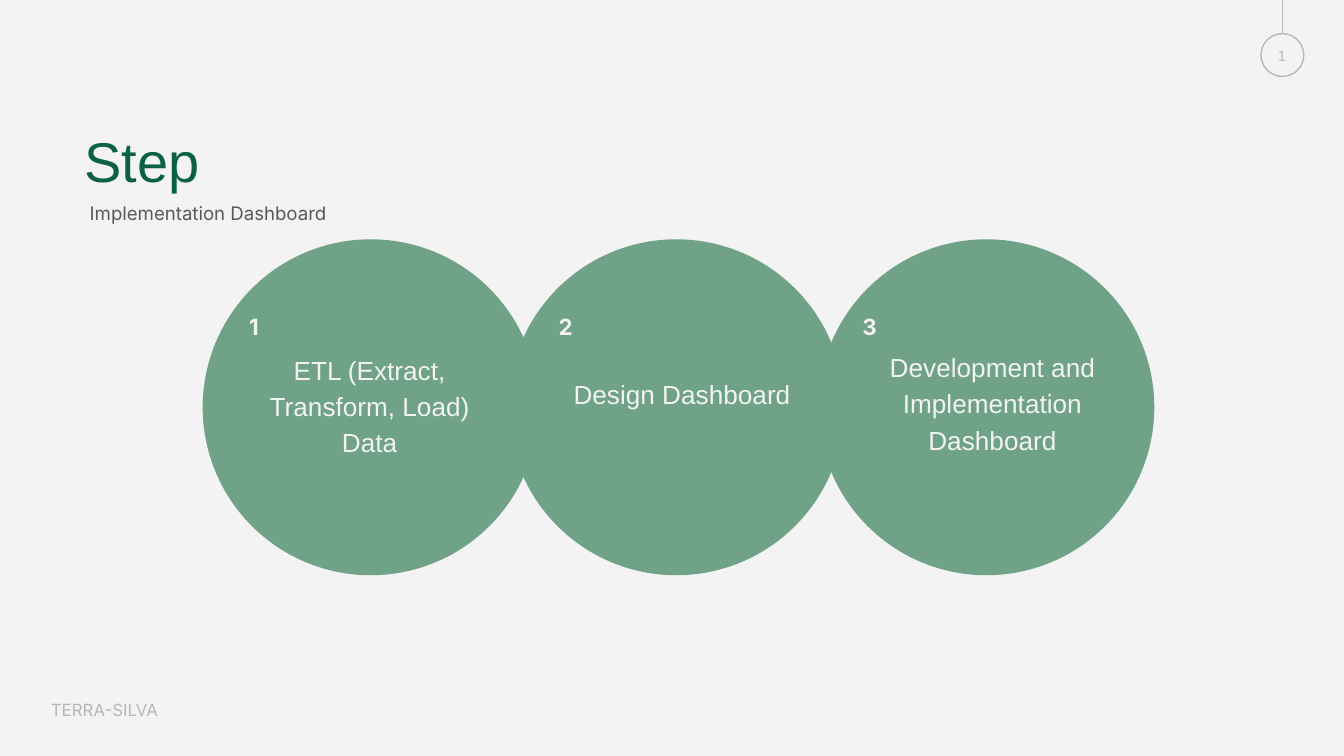
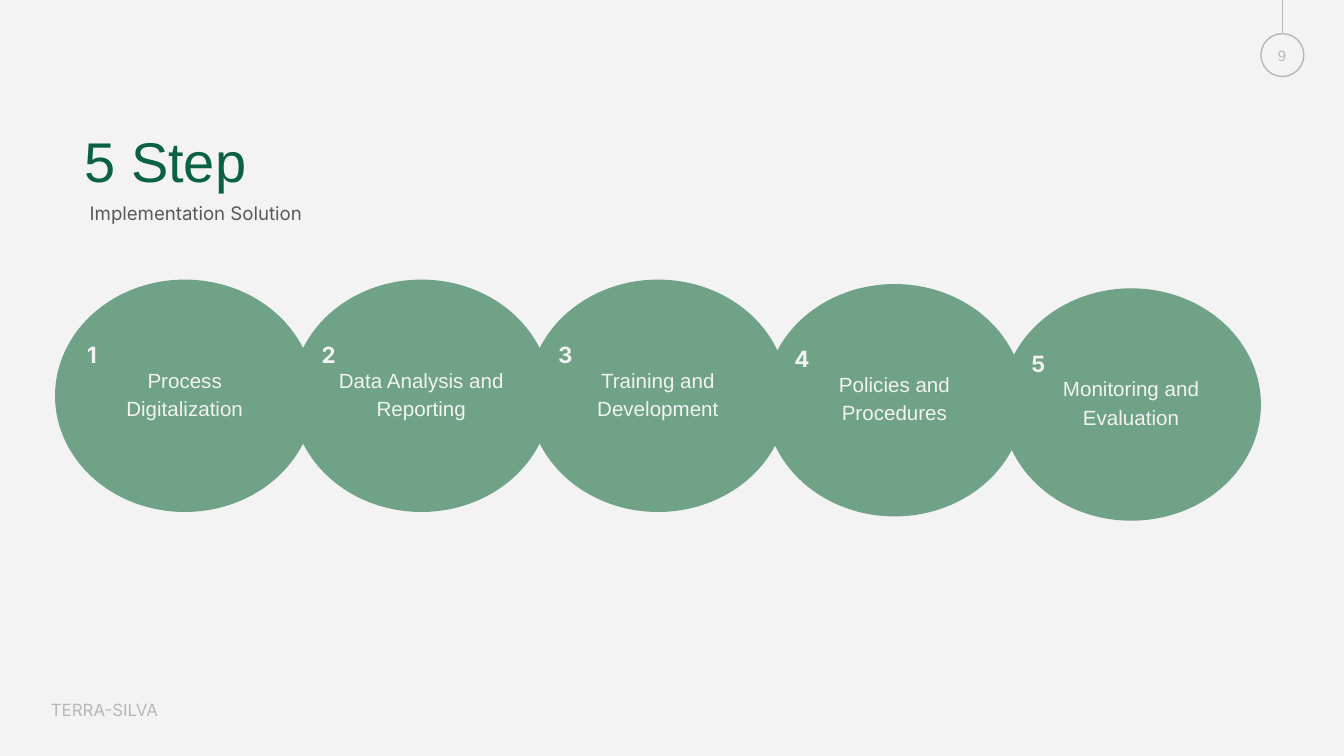
from lxml import etree
from pptx import Presentation
from pptx.dml.color import RGBColor
from pptx.enum import shapes as kinds, text
from pptx.oxml.ns import qn
from pptx.util import Pt

PAPER = RGBColor(0xF3, 0xF3, 0xF3)
GREEN = RGBColor(0x0A, 0x62, 0x42)
SAGE = RGBColor(0x6F, 0xA2, 0x87)
GREY = RGBColor(0xB7, 0xB7, 0xB7)
INK = RGBColor(0x59, 0x59, 0x59)
SANS, INTER = "Arial", "Inter"
MID = text.MSO_ANCHOR.MIDDLE
CENTER = text.PP_ALIGN.CENTER
LEFT = text.PP_ALIGN.LEFT


def add_text(tree, words, box, size, font, color, align=LEFT,
             anchor=text.MSO_ANCHOR.TOP, space=None, bold=False):
    frame = tree.add_textbox(*map(Pt, box)).text_frame
    frame.word_wrap = True
    frame.vertical_anchor = anchor
    frame.margin_left = frame.margin_right = Pt(7.2)
    frame.margin_top = frame.margin_bottom = Pt(7.2)
    para = frame.paragraphs[0]
    para.text = words
    para.alignment = align
    para.line_spacing = space
    para.font.size = Pt(size)
    para.font.name = font
    para.font.bold = bold
    para.font.color.rgb = color


def add_oval(tree, box, fill=None, line=None):
    oval = tree.add_shape(kinds.MSO_SHAPE.OVAL, *map(Pt, box))
    oval.shadow.inherit = False
    if fill is None:
        oval.fill.background()
    else:
        oval.fill.solid()
        oval.fill.fore_color.rgb = fill
    if line is None:
        oval.line.fill.background()
    else:
        oval.line.color.rgb = line
        oval.line.width = Pt(0.75)


def add_line(tree, start, end):
    line = tree.add_connector(kinds.MSO_CONNECTOR.STRAIGHT,
                              *map(Pt, start + end))
    line.line.color.rgb = GREY
    line.line.width = Pt(0.75)
    etree.SubElement(line._element.spPr, qn("a:effectLst"))


def add_page(deck, number, title, topic):
    """Add a slide with the shared page mark, footer and headings."""
    slide = deck.slides.add_slide(deck.slide_layouts[6])
    slide.background.fill.solid()
    slide.background.fill.fore_color.rgb = PAPER
    tree = slide.shapes
    add_text(tree, number, (665.3, 14.4, 43.2, 31), 8, SANS, GREY,
             CENTER, MID)
    add_oval(tree, (675.5, 18, 23, 23), line=GREY)
    add_line(tree, (687, 18), (687, 0))
    add_text(tree, "TERRA-SILVA", (20.2, 368.8, 242.6, 23), 9, INTER, GREY,
             anchor=MID)
    add_text(tree, title, (38.2, 60.5, 146.2, 64), 30, SANS, GREEN)
    add_text(tree, topic, (41, 97.2, 279.4, 31), 10, INTER, INK, space=1.3)
    return tree


def add_step(tree, number, words, oval, label, mark, size):
    """Draw one filled oval with its label and number."""
    add_oval(tree, oval, SAGE)
    add_text(tree, words, label, size, SANS, PAPER, CENTER, space=1.15)
    add_text(tree, str(number), mark, 12, INTER, PAPER, CENTER,
             space=1.3, bold=True)


def add_three(deck):
    tree = add_page(deck, "1", "Step", "Implementation Dashboard")
    # words, oval left, label box (left, top, width), number left
    steps = [
        ("ETL (Extract, Transform, Load) Data",
         108.6, (135.4, 180, 125.3), 114.5),
        ("Design Dashboard", 272.3, (292.3, 193, 146.2), 281.5),
        ("Development and Implementation Dashboard",
         438.4, (458.6, 178.8, 146.2), 444.3),
    ]
    for num, (words, left, label, mark) in enumerate(steps, 1):
        add_step(tree, num, words, (left, 128.2, 180, 180), label + (64,),
                 (mark, 156.2, 43.2, 31), 14)


def add_five(deck):
    tree = add_page(deck, "9", "5 Step", "Implementation Solution")
    steps = [
        ("Process Digitalization", 149.8),
        ("Data Analysis and Reporting", 149.8),
        ("Training and Development", 149.8),
        ("Policies and Procedures", 152.2),
        ("Monitoring and Evaluation", 154.5),
    ]
    for num, (words, top) in enumerate(steps, 1):
        left = 29.5 + 126.75 * (num - 1)
        group = tree.add_group_shape()
        add_step(group.shapes, num, words, (left, top, 139, 124.5),
                 (left + 12.2, top + 38, 114.5, 53.3),
                 (left, top + 21.4, 39.6, 26), 11)


def main():
    deck = Presentation()
    deck.slide_width, deck.slide_height = Pt(720), Pt(405)
    add_three(deck)
    add_five(deck)
    deck.save("out.pptx")


if __name__ == "__main__":
    main()
